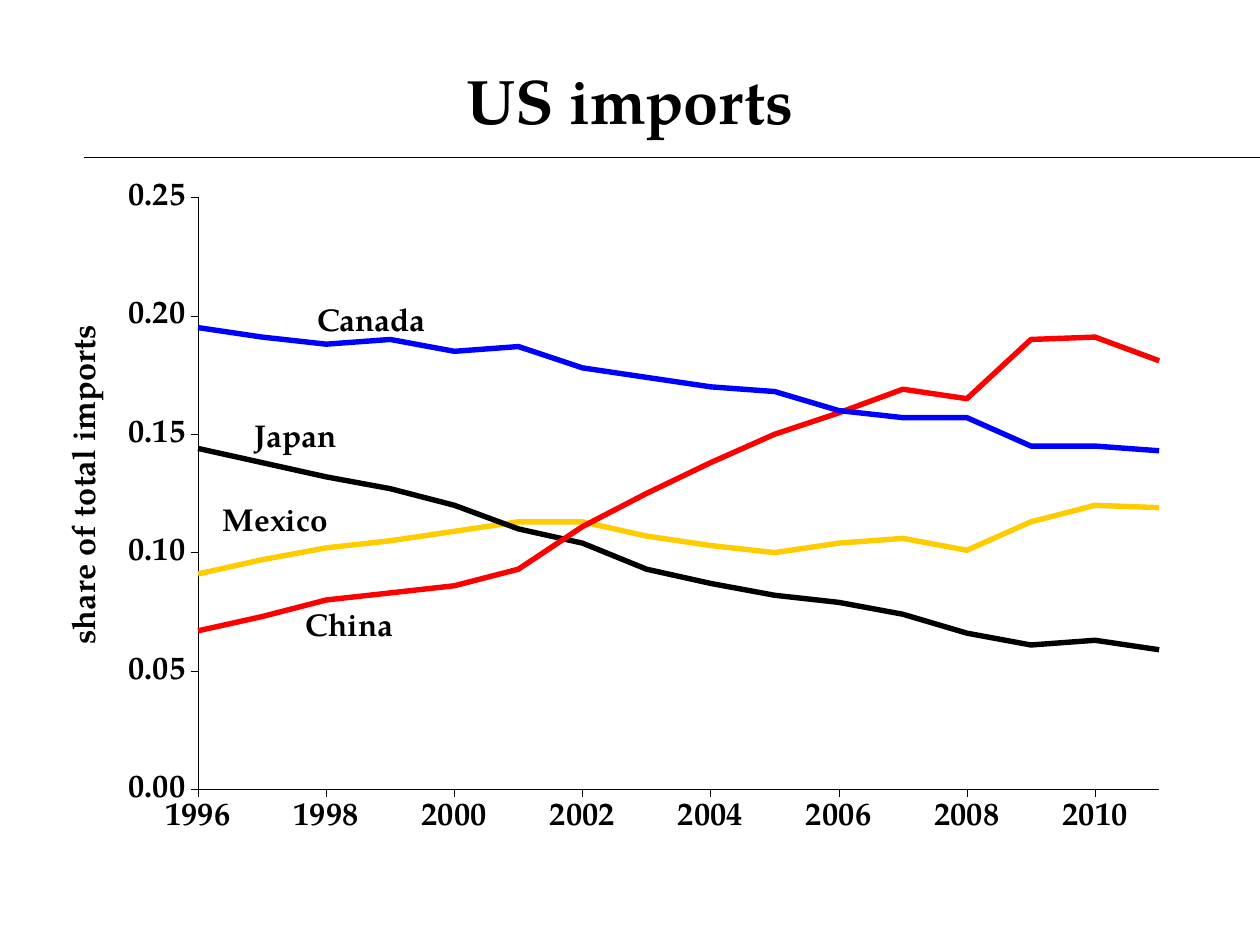
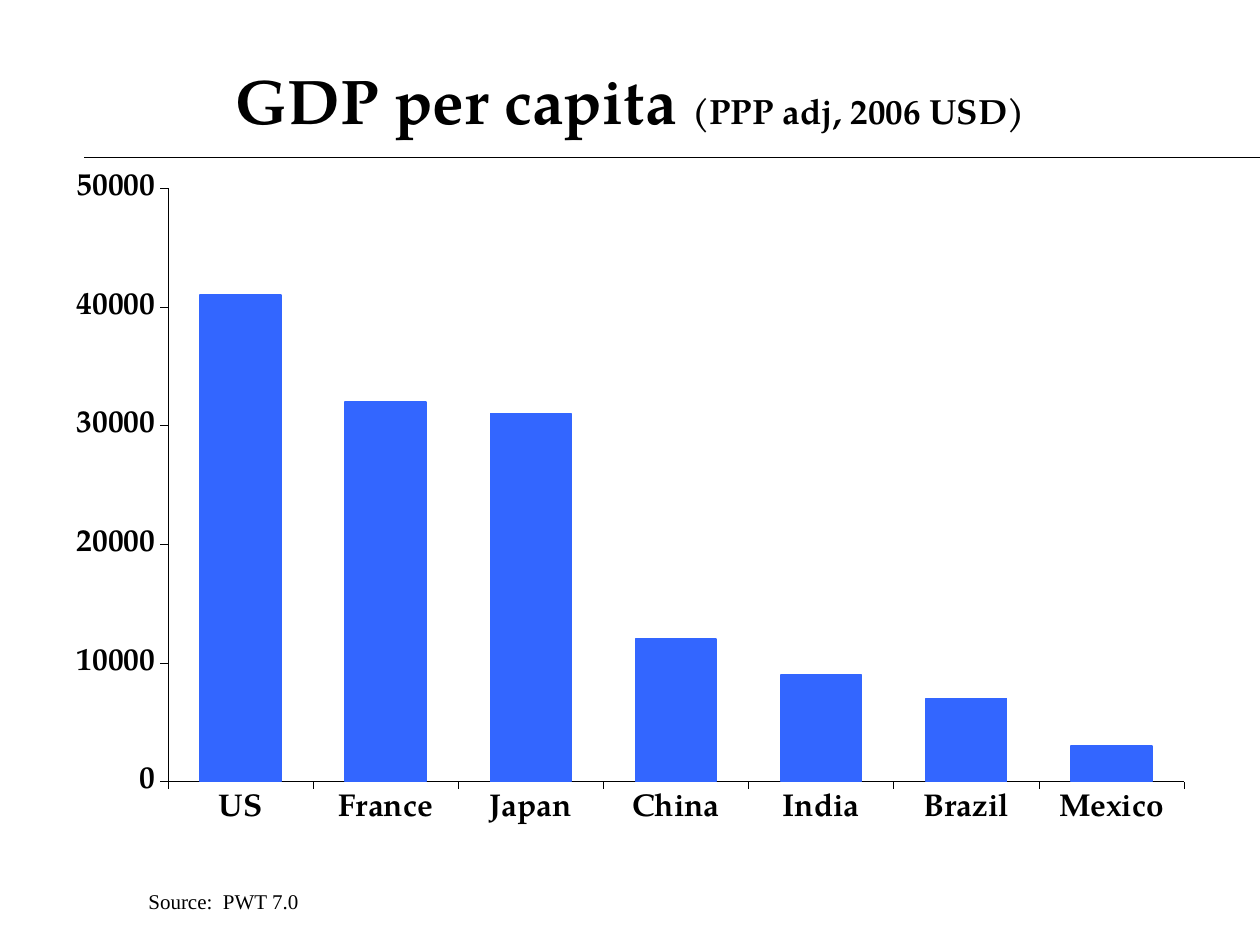
from dataclasses import dataclass
from lxml.etree import SubElement
from pptx import Presentation
from pptx.chart.data import CategoryChartData, XyChartData
from pptx.dml.color import RGBColor
from pptx.enum.chart import XL_AXIS_CROSSES, XL_CHART_TYPE, XL_TICK_MARK
from pptx.enum.shapes import MSO_CONNECTOR
from pptx.enum.text import MSO_ANCHOR, PP_ALIGN
from pptx.oxml import parse_xml
from pptx.oxml.ns import nsdecls, qn
from pptx.util import Inches, Pt


@dataclass(frozen=True)
class Theme:
    font: str = "TeX Gyre Pagella"
    serif: str = "Times New Roman"
    black: str = "000000"
    blue: str = "0000FF"
    red: str = "FF0000"
    gold: str = "FFCC00"
    bar: str = "3366FF"
    title: float = 36
    unit: float = 20
    axis: float = 18.5
    label: float = 18
    note: float = 12
    rule: float = 0.75
    hair: float = 0.25
    curve: float = 3.08


THEME = Theme()

# Share of total imports, 1996 to 2011
YEARS = range(1996, 2012)
SHARES = [
    ("Canada", THEME.blue, [0.195, 0.191, 0.188, 0.19, 0.185, 0.187, 0.178, 0.174,
                            0.17, 0.168, 0.16, 0.157, 0.157, 0.145, 0.145, 0.143]),
    ("China", THEME.red, [0.067, 0.073, 0.08, 0.083, 0.086, 0.093, 0.111, 0.125,
                          0.138, 0.15, 0.159, 0.169, 0.165, 0.19, 0.191, 0.181]),
    ("Japan", THEME.black, [0.144, 0.138, 0.132, 0.127, 0.12, 0.11, 0.104, 0.093,
                            0.087, 0.082, 0.079, 0.074, 0.066, 0.061, 0.063, 0.059]),
    ("Mexico", THEME.gold, [0.091, 0.097, 0.102, 0.105, 0.109, 0.113, 0.113, 0.107,
                            0.103, 0.1, 0.104, 0.106, 0.101, 0.113, 0.12, 0.119]),
]
LABELS = [("Canada", 2.42, 2.33), ("Japan", 1.92, 3.25),
          ("China", 2.33, 4.75), ("Mexico", 1.67, 3.92)]

# GDP per capita
INCOME = {"US": 41000, "France": 32000, "Japan": 31000, "China": 12000,
          "India": 9000, "Brazil": 7000, "Mexico": 3000}


def color(code):
    return RGBColor.from_string(code)


def style(font, size, name=THEME.font, bold=True):
    font.size, font.name, font.bold = Pt(size), name, bold
    font.color.rgb = color(THEME.black)


def stroke(line, code, width):
    line.color.rgb = color(code)
    line.width = Pt(width)


# Text and rule
def add_text(slide, text, left, top, width, height, size, **look):
    box = slide.shapes.add_textbox(Inches(left), Inches(top), Inches(width), Inches(height))
    box.text_frame.word_wrap = True
    para = box.text_frame.paragraphs[0]
    para.text = text
    style(para.font, size, **look)
    return box.text_frame


def add_rule(slide):
    rule = slide.shapes.add_connector(
        MSO_CONNECTOR.STRAIGHT, Inches(0.67), Inches(1.25), Inches(10), Inches(1.25))
    stroke(rule.line, THEME.black, THEME.rule)
    SubElement(rule._element.spPr, qn("a:effectLst"))


def add_page(deck, title, unit=""):
    slide = deck.slides.add_slide(deck.slide_layouts[6])
    add_rule(slide)
    frame = add_text(slide, title, 0.5, 0.33, 9, 0.92, THEME.title)
    frame.vertical_anchor = MSO_ANCHOR.MIDDLE
    para = frame.paragraphs[0]
    para.alignment = PP_ALIGN.CENTER
    if unit:
        run = para.add_run()
        run.text = unit
        run.font.size = Pt(THEME.unit)
    return slide


# Chart parts
def layout(x, y, w=None, h=None):
    inner = "" if w is None else '<c:layoutTarget val="inner"/>'
    sizes = "" if w is None else f'<c:w val="{w}"/><c:h val="{h}"/>'
    return parse_xml(
        f'<c:layout {nsdecls("c")}><c:manualLayout>{inner}<c:xMode val="edge"/>'
        f'<c:yMode val="edge"/><c:x val="{x}"/><c:y val="{y}"/>{sizes}'
        '</c:manualLayout></c:layout>')


def drop_layout(node):
    for old in node.findall(qn("c:layout")):
        node.remove(old)


def set_axis(axis, low=None, high=None, step=None, form=None):
    axis.has_major_gridlines = False
    axis.major_tick_mark = XL_TICK_MARK.OUTSIDE
    axis.minor_tick_mark = XL_TICK_MARK.NONE
    stroke(axis.format.line, THEME.black, THEME.hair)
    if step:
        axis.minimum_scale, axis.maximum_scale = low, high
        axis.major_unit = step
    if form:
        axis.tick_labels.number_format = form
        axis.tick_labels.number_format_is_linked = False


def name_axis(axis, text, x, y):
    axis.has_title = True
    para = axis.axis_title.text_frame.paragraphs[0]
    para.text = text
    style(para.font, THEME.axis)
    node = axis.axis_title._element
    drop_layout(node)
    node.find(qn("c:tx")).addnext(layout(x, y))


def add_chart(slide, kind, data, spot, plot, size):
    chart = slide.shapes.add_chart(kind, *map(Inches, spot), data).chart
    chart.has_legend = chart.has_title = False
    style(chart.font, size)
    chart.plots[0].vary_by_categories = False
    area = chart._chartSpace.chart.plotArea
    drop_layout(area)
    area.insert(0, layout(*plot))
    return chart


def add_curves(slide):
    data = XyChartData()
    for name, _, shares in SHARES:
        series = data.add_series(name)
        for year, share in zip(YEARS, shares):
            series.add_data_point(year, share)
    chart = add_chart(slide, XL_CHART_TYPE.XY_SCATTER_LINES_NO_MARKERS, data,
                      (0.31, 1.17, 9.28, 5.92), (0.136, 0.067, 0.822, 0.794), THEME.axis)
    for series, (_, code, _) in zip(chart.plots[0].series, SHARES):
        series.smooth = False
        stroke(series.format.line, code, THEME.curve)
    set_axis(chart.category_axis, YEARS[0], YEARS[-1], 2, "0")
    chart.category_axis.crosses = XL_AXIS_CROSSES.MINIMUM
    set_axis(chart.value_axis, 0, 0.25, 0.05, "#,##0.00")
    name_axis(chart.value_axis, "share of total imports", 0.02, 0.23)


def add_bars(slide):
    data = CategoryChartData()
    data.categories = list(INCOME)
    data.add_series("GDP per capita", INCOME.values())
    chart = add_chart(slide, XL_CHART_TYPE.COLUMN_CLUSTERED, data,
                      (0.25, 1.08, 9.25, 6), (0.117, 0.069, 0.872, 0.785), THEME.label)
    plot = chart.plots[0]
    plot.gap_width = 80
    look = plot.series[0].format
    look.fill.solid()
    look.fill.fore_color.rgb = color(THEME.bar)
    stroke(look.line, THEME.bar, 1)
    set_axis(chart.category_axis)
    set_axis(chart.value_axis, 0, 50000, 10000, "0")


def main():
    deck = Presentation()
    deck.slide_width, deck.slide_height = Inches(10), Inches(7.5)

    # Import shares
    slide = add_page(deck, "US imports")
    add_curves(slide)
    for name, left, top in LABELS:
        add_text(slide, name, left, top, 1.67, 0.4, THEME.label)

    # Income levels
    slide = add_page(deck, "GDP per capita ", "(PPP adj, 2006 USD)")
    add_bars(slide)
    add_text(slide, "Source:  PWT 7.0", 1.08, 7, 7.17, 0.3, THEME.note,
             name=THEME.serif, bold=False)

    deck.save("out.pptx")


if __name__ == "__main__":
    main()
